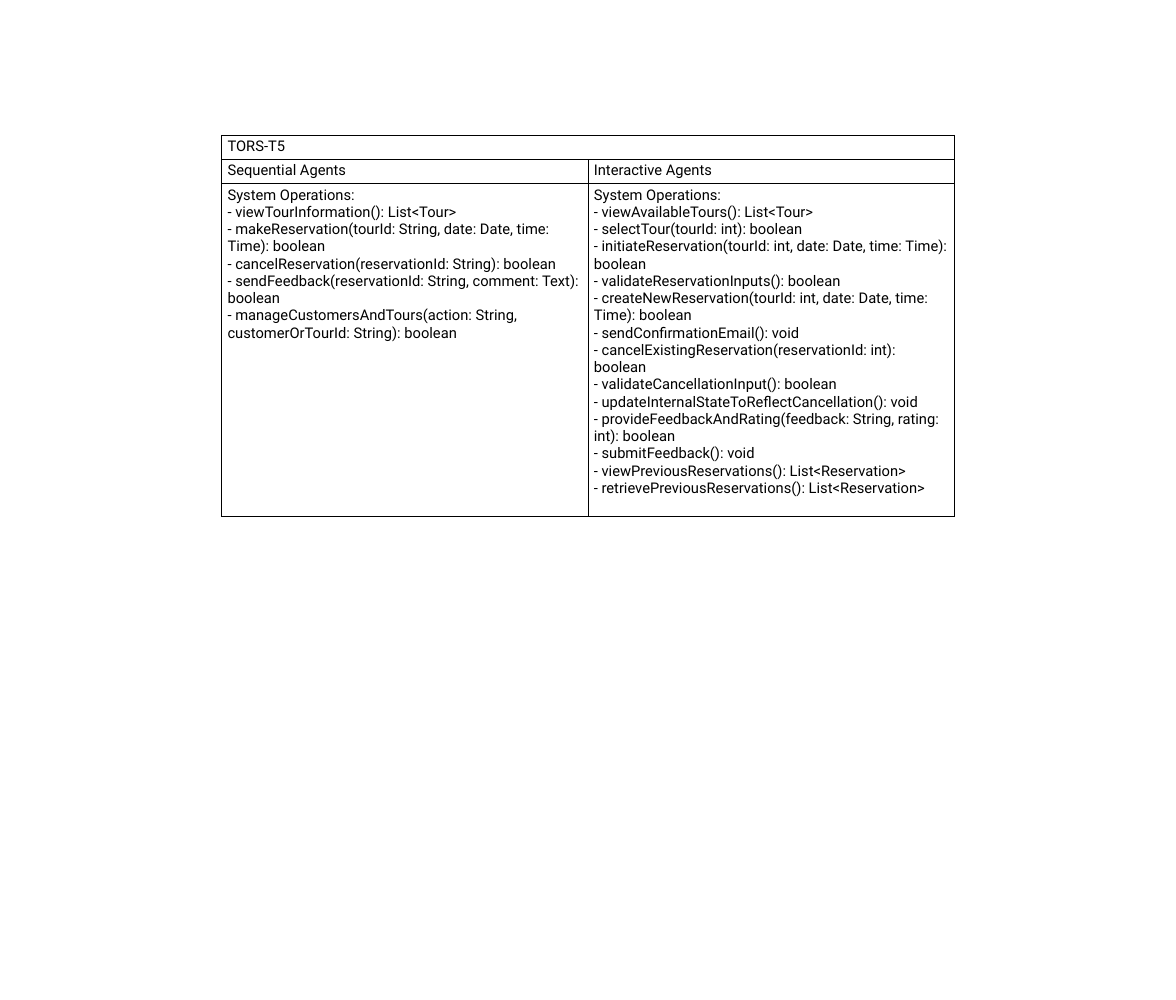
from pptx import Presentation
from pptx.dml.color import RGBColor
from pptx.oxml import parse_xml
from pptx.oxml.ns import nsdecls
from pptx.util import Emu, Pt

PX = 9144  # EMU per px, 100 px to the inch
COLORS = {"ink": "000000"}
FONT = "Roboto"
COLUMN_WIDTH = 623
ROW_HEIGHTS = [41, 41, 566]

SEQUENTIAL_OPERATIONS = [
    "System Operations:",
    "- viewTourInformation(): List<Tour>",
    "- makeReservation(tourId: String, date: Date, time: Time): boolean",
    "- cancelReservation(reservationId: String): boolean",
    "- sendFeedback(reservationId: String, comment: Text): boolean",
    "- manageCustomersAndTours(action: String, customerOrTourId: String): boolean",
]
INTERACTIVE_OPERATIONS = [
    "System Operations:",
    "- viewAvailableTours(): List<Tour>",
    "- selectTour(tourId: int): boolean",
    "- initiateReservation(tourId: int, date: Date, time: Time): boolean",
    "- validateReservationInputs(): boolean",
    "- createNewReservation(tourId: int, date: Date, time: Time): boolean",
    "- sendConfirmationEmail(): void",
    "- cancelExistingReservation(reservationId: int): boolean",
    "- validateCancellationInput(): boolean",
    "- updateInternalStateToReflectCancellation(): void",
    "- provideFeedbackAndRating(feedback: String, rating: int): boolean",
    "- submitFeedback(): void",
    "- viewPreviousReservations(): List<Reservation>",
    "- retrievePreviousReservations(): List<Reservation>",
]
ROWS = [
    [["TORS-T5"]],
    [["Sequential Agents"], ["Interactive Agents"]],
    [SEQUENTIAL_OPERATIONS, INTERACTIVE_OPERATIONS],
]


def px(length):
    return Emu(length * PX)


def add_borders(cell):
    properties = cell._tc.get_or_add_tcPr()
    for side in "LRTB":
        properties.append(parse_xml(
            f'<a:ln{side} {nsdecls("a")} w="{Pt(1)}"><a:solidFill>'
            f'<a:srgbClr val="{COLORS["ink"]}"/></a:solidFill></a:ln{side}>'
        ))


presentation = Presentation()
presentation.slide_width = px(2000)
presentation.slide_height = px(1700)
slide = presentation.slides.add_slide(presentation.slide_layouts[6])

table = slide.shapes.add_table(
    len(ROW_HEIGHTS), 2, px(377), px(230), px(2 * COLUMN_WIDTH), px(sum(ROW_HEIGHTS))
).table
table.first_row = False
table.horz_banding = False
for column in table.columns:
    column.width = px(COLUMN_WIDTH)
for row, height in zip(table.rows, ROW_HEIGHTS):
    row.height = px(height)
table.cell(0, 0).merge(table.cell(0, 1))

for cell in table.iter_cells():
    add_borders(cell)
    cell.fill.background()

for row, texts in zip(table.rows, ROWS):
    for cell, lines in zip(row.cells, texts):
        cell.text = "\n".join(lines)
        for paragraph in cell.text_frame.paragraphs:
            paragraph.font.name = FONT
            paragraph.font.size = Pt(18)
            paragraph.font.color.rgb = RGBColor.from_string(COLORS["ink"])

presentation.save("out.pptx")
